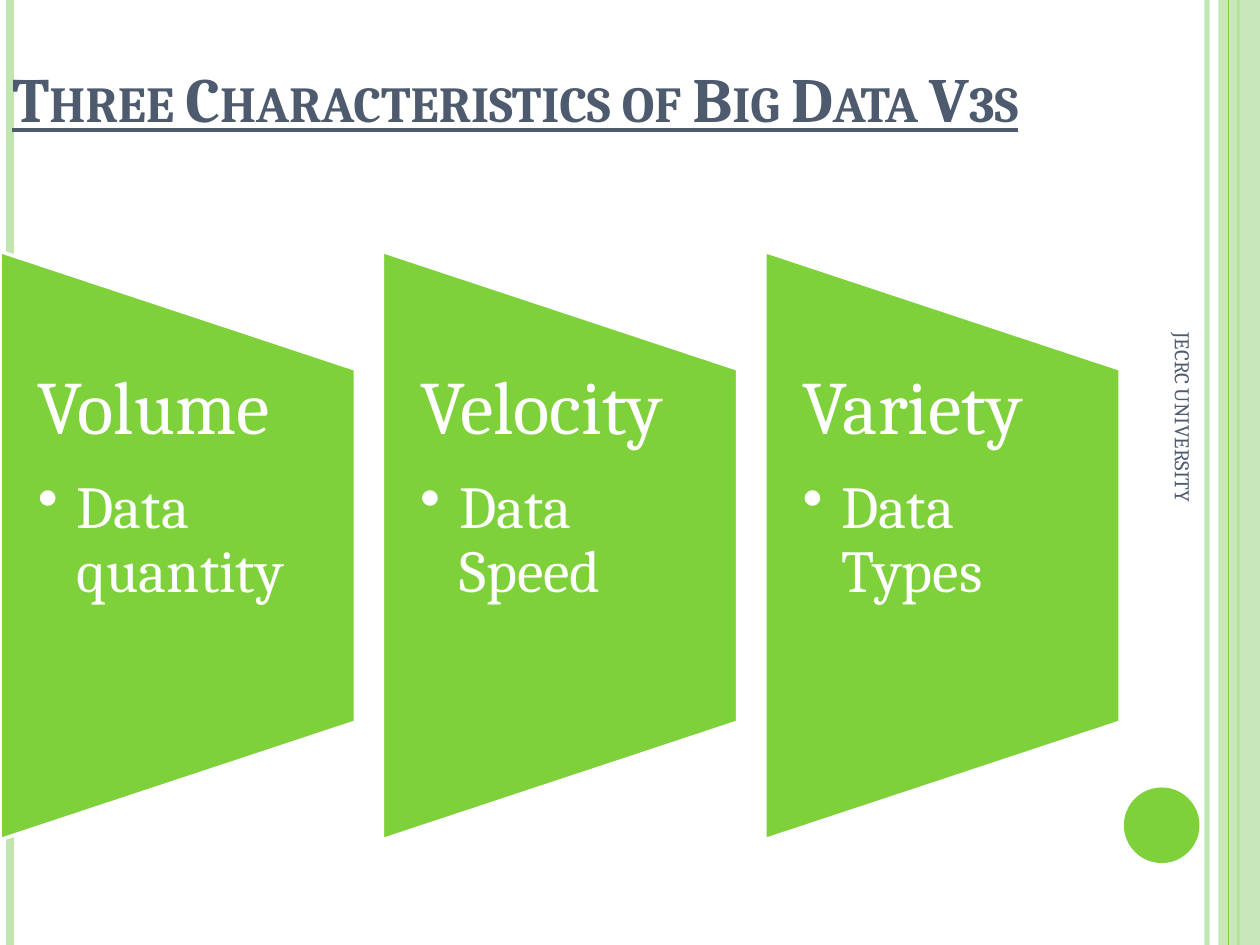
from pptx import Presentation
from pptx.util import Inches, Pt
from pptx.dml.color import RGBColor
from pptx.enum import shapes, text
from pptx.oxml.ns import qn
from lxml import etree

THEME = dict(font="Cambria", green="7FD13B", pale="C0E5AF", ink="4E5B6F", white="FFFFFF",
             title=36, head=43, item=34, side=12)
TITLE = "Three Characteristics of Big Data V3s"
SIDE = "JECRC UNIVERSITY"
CARDS = [("Volume", "Data quantity"), ("Velocity", "Data Speed"), ("Variety", "Data Types")]
RULES = [(9.58, "pale", 3, 93), (0.08, "pale", 4.5, 100), (9.83, "green", 1.5, 100)]
INNER = (9.75, "green", 0.75, 100)
KIND = shapes.MSO_SHAPE
STEP, WIDE, TALL, MID = 3.035, 2.82, 4.67, 4.33


def color(name):
    return RGBColor.from_string(THEME[name])


def fade(fill, alpha):
    tag = fill._xPr.find(".//" + qn("a:srgbClr"))
    etree.SubElement(tag, qn("a:alpha")).set("val", str(alpha * 1000))


def rule(x, name, size, alpha):
    bar = slide.shapes.add_connector(shapes.MSO_CONNECTOR.STRAIGHT,
                                     Inches(x), 0, Inches(x), Inches(7.5))
    bar.line.width = Pt(size)
    bar.line.color.rgb = color(name)
    if alpha < 100:
        fade(bar.line.fill, alpha)
    etree.SubElement(bar._element.spPr, qn("a:effectLst"))


def shape(kind, at, name):
    item = slide.shapes.add_shape(kind, *map(Inches, at))
    item.shadow.inherit = False
    item.fill.solid()
    item.fill.fore_color.rgb = color(name)
    item.line.fill.background()
    return item


def box(at, **form):
    item = slide.shapes.add_textbox(*map(Inches, at))
    frame = item.text_frame
    for key, val in dict(word_wrap=True, **form).items():
        setattr(frame, key, val)
    return item, frame


def write(para, words, size, name, **form):
    run = para.add_run()
    run.text = words
    run.font.color.rgb = color(name)
    for key, val in dict(name=THEME["font"], size=Pt(THEME[size]), **form).items():
        setattr(run.font, key, val)
    return run


def bullet(para):
    props = para._p.get_or_add_pPr()
    props.set("marL", str(Inches(0.31)))
    props.set("indent", str(-Inches(0.31)))
    etree.SubElement(props, qn("a:buChar")).set("char", "•")


def card(x, head, item):
    block = shape(KIND.FLOWCHART_MANUAL_OPERATION,
                  (x + (WIDE - TALL) / 2, MID - WIDE / 2, TALL, WIDE), "green")
    block.rotation = 270
    block.line.color.rgb = color("white")
    block.line.width = Pt(2)
    pad = Inches(0.3)
    frame = box((x, 2.93, WIDE, 2.8), margin_left=pad, margin_right=pad,
                margin_top=0, margin_bottom=0)[1]
    first, second = frame.paragraphs[0], frame.add_paragraph()
    bullet(second)
    for para, words, size, gap in [(first, head, "head", 15), (second, item, "item", 5)]:
        para.line_spacing = 0.9
        para.space_after = Pt(gap)
        write(para, words, size, "white")


deck = Presentation()
deck.slide_width, deck.slide_height = Inches(10), Inches(7.5)
slide = deck.slides.add_slide(deck.slide_layouts[6])

for part in RULES:
    rule(*part)
band = shape(KIND.RECTANGLE, (9.67, 0, 0.33, 7.5), "pale")
fade(band.fill, 87)
rule(*INNER)
shape(KIND.OVAL, (8.92, 6.25, 0.6, 0.6), "green")

frame = box((0, 0.42, 8.62, 0.92))[1]
run = write(frame.paragraphs[0], TITLE, "title", "ink", bold=True, underline=True)
run.font._element.set("cap", "small")

for col, (head, item) in enumerate(CARDS):
    card(col * STEP, head, item)

side, frame = box((7.64, 4.09, 3.5, 0.4), vertical_anchor=text.MSO_ANCHOR.MIDDLE)
side.rotation = 90
write(frame.paragraphs[0], SIDE, "side", "ink")

deck.save("out.pptx")
